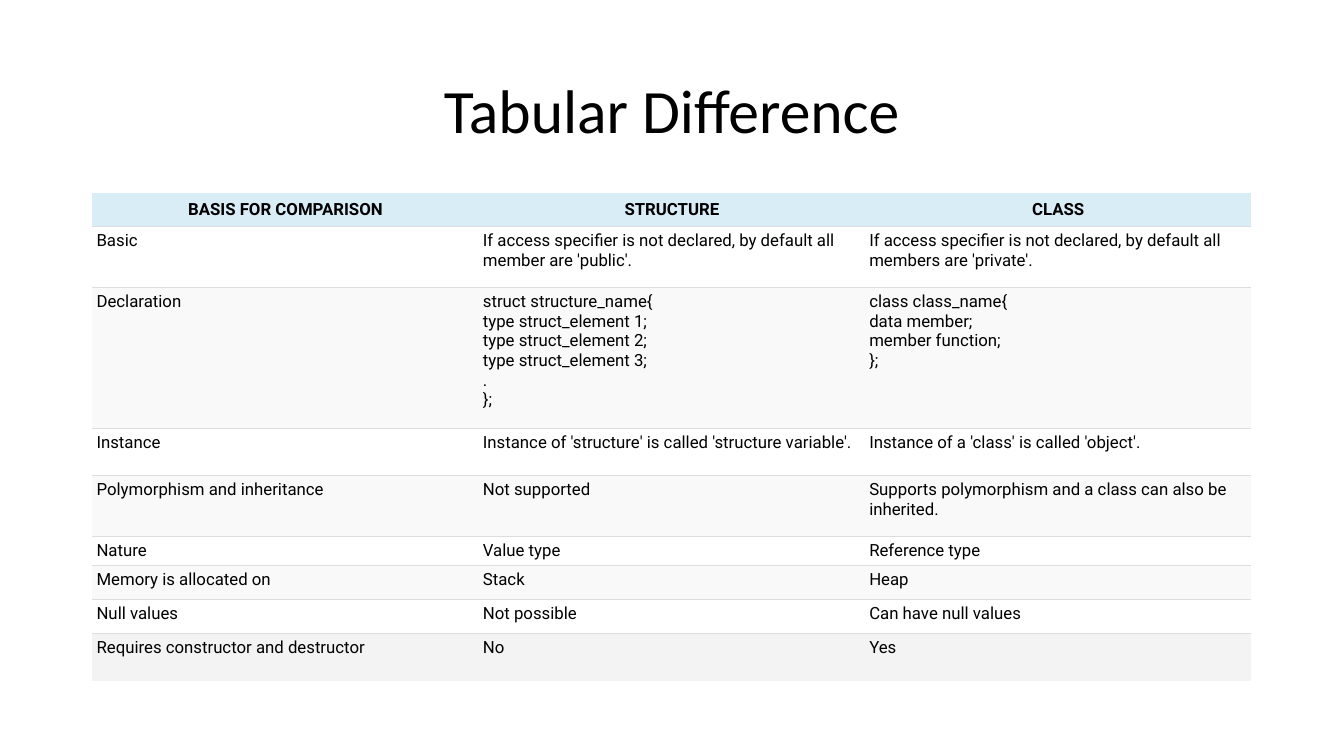
"""Builds a slide with a table comparing structures and classes."""
from copy import deepcopy

from lxml.etree import SubElement
from pptx import Presentation
from pptx.dml.color import RGBColor
from pptx.enum.text import MSO_ANCHOR as ANCHOR, PP_ALIGN as ALIGN
from pptx.oxml.ns import qn
from pptx.util import Pt

ROWS = [
    (24.3, "BASIS FOR COMPARISON", "STRUCTURE", "CLASS"),
    (43.5, "Basic",
     "If access specifier is not declared, by default all member are 'public'.",
     "If access specifier is not declared, by default all members are 'private'."),
    (100.6, "Declaration",
     "struct structure_name{\vtype struct_element 1;\vtype struct_element 2;\v"
     "type struct_element 3;\v.\v};",
     "class class_name{\vdata member;\vmember function;\v};"),
    (33.8, "Instance", "Instance of 'structure' is called 'structure variable'.",
     "Instance of a 'class' is called 'object'."),
    (43.5, "Polymorphism and inheritance", "Not supported",
     "Supports polymorphism and a class can also be inherited."),
    (19.4, "Nature", "Value type", "Reference type"),
    (24.3, "Memory is allocated on", "Stack", "Heap"),
    (24.3, "Null values", "Not possible", "Can have null values"),
    (34, "Requires constructor and destructor", "No", "Yes"),
]


def rgb(value):
    return RGBColor.from_string(value)


class Deck:
    ink, line, header, last = "000000", "DDDDDD", "D9EDF7", "F3F3F3"
    bands = ("F9F9F9", "FFFFFF")
    title_font, body_font = "Calibri", "Roboto"
    inset = 3

    def __init__(self, s):
        self.s = s

    def paragraph(self, p, text, font, size, bold=False, align=ALIGN.LEFT):
        p.text = text
        p.alignment = align
        for r in p.runs:
            r.font.name, r.font.size, r.font.bold = font, Pt(size), bold
            r.font.color.rgb = rgb(self.ink)
        for br in p._p.findall(qn("a:br")):
            br.append(deepcopy(p.runs[0]._r.rPr))

    def title(self, text, x, y, w, h):
        tf = self.s.shapes.add_textbox(Pt(x), Pt(y), Pt(w), Pt(h)).text_frame
        tf.word_wrap = True
        tf.vertical_anchor = ANCHOR.MIDDLE
        p = tf.paragraphs[0]
        self.paragraph(p, text, self.title_font, 44, align=ALIGN.CENTER)
        p.line_spacing = 0.9

    def border(self, cell, side, visible):
        ln = SubElement(cell._tc.get_or_add_tcPr(), qn(f"a:ln{side}"), w=str(Pt(0.75)))
        if visible:
            fill = SubElement(ln, qn("a:solidFill"))
            SubElement(fill, qn("a:srgbClr"), val=self.line)
        else:
            SubElement(ln, qn("a:noFill"))

    def cell(self, cell, text, fill, header, top, bottom):
        for side, visible in zip("LRTB", (False, False, top, bottom)):
            self.border(cell, side, visible)
        cell.fill.solid()
        cell.fill.fore_color.rgb = rgb(fill)
        cell.margin_left = cell.margin_right = Pt(self.inset)
        cell.margin_top = cell.margin_bottom = Pt(self.inset)
        cell.vertical_anchor = ANCHOR.MIDDLE if header else ANCHOR.TOP
        self.paragraph(cell.text_frame.paragraphs[0], text, self.body_font, 12, header,
                       ALIGN.CENTER if header else ALIGN.LEFT)

    def table(self, rows, x, y, w):
        end, columns = len(rows) - 1, len(rows[0]) - 1
        height = sum(row[0] for row in rows)
        table = self.s.shapes.add_table(
            len(rows), columns, Pt(x), Pt(y), Pt(w), Pt(height)).table
        table.first_row = table.horz_banding = False
        for column in table.columns:
            column.width = Pt(w / columns)
        for i, (h, *texts) in enumerate(rows):
            table.rows[i].height = Pt(h)
            fill = {0: self.header, end: self.last}.get(i, self.bands[i % 2])
            for j, text in enumerate(texts):
                self.cell(table.cell(i, j), text, fill, i == 0, i > 0, i < end)


def main():
    prs = Presentation()
    prs.slide_width, prs.slide_height = Pt(960), Pt(540)
    deck = Deck(prs.slides.add_slide(prs.slide_layouts[6]))
    deck.title("Tabular Difference", 66, 28.75, 828, 104.4)
    deck.table(ROWS, 66, 137.75, 828)
    prs.save("out.pptx")


if __name__ == "__main__":
    main()
